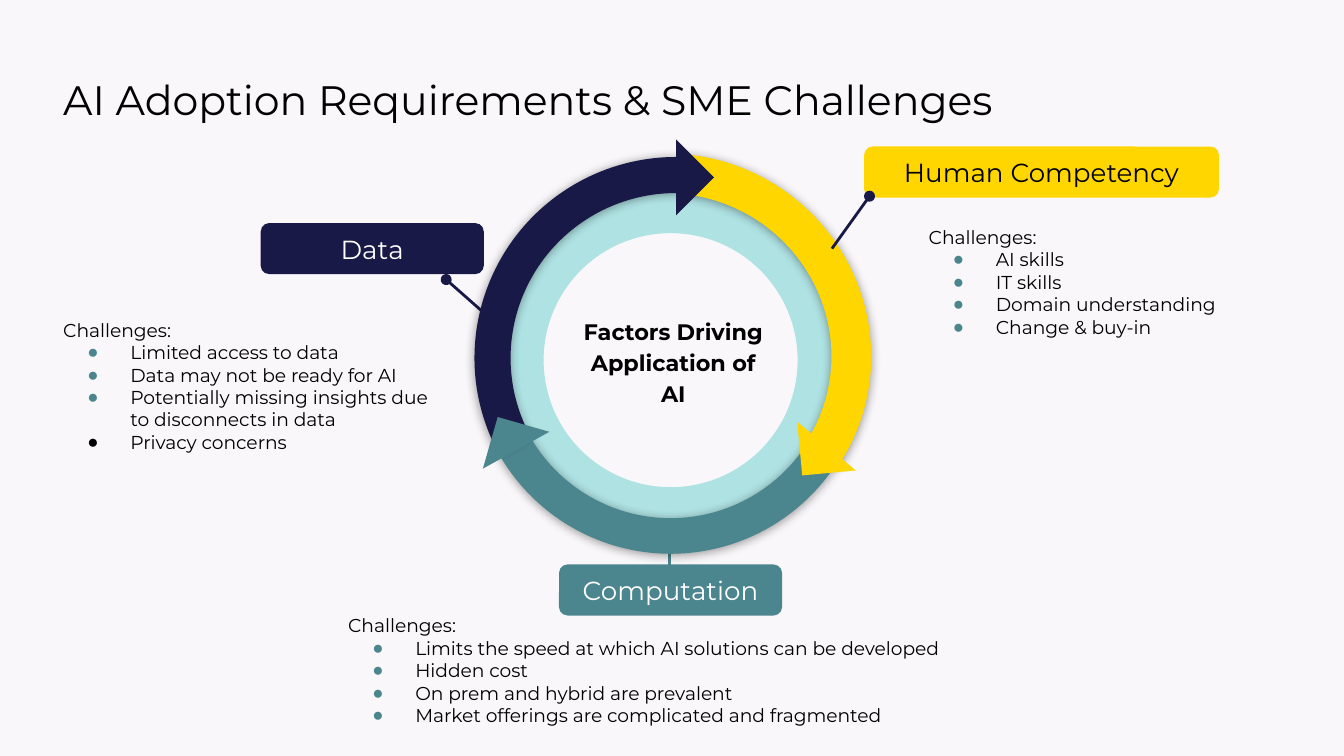
import lxml.etree
import pptx
import pptx.dml.color
import pptx.enum.shapes
import pptx.enum.text
import pptx.oxml.ns
import pptx.util

Inches = pptx.util.Inches
Pt = pptx.util.Pt
RGBColor = pptx.dml.color.RGBColor
MSO_SHAPE = pptx.enum.shapes.MSO_SHAPE
PP_ALIGN = pptx.enum.text.PP_ALIGN
MSO_ANCHOR = pptx.enum.text.MSO_ANCHOR
qn = pptx.oxml.ns.qn

FONT = "Montserrat"
BULLET_FONT = "Arial"
BACKGROUND = RGBColor(0xF9, 0xF7, 0xF9)
BLACK = RGBColor(0, 0, 0)
WHITE = RGBColor(0xFF, 0xFF, 0xFF)
NAVY = RGBColor(0x19, 0x19, 0x47)
YELLOW = RGBColor(0xFF, 0xD6, 0x00)
TEAL = RGBColor(0x4B, 0x85, 0x8E)
AQUA = RGBColor(0xAF, 0xE2, 0xE3)

COMPARISON_LAYOUT = 4

DATA_CHALLENGES = [
    "Limited access to data",
    "Data may not be ready for AI",
    "Potentially missing insights due to disconnects in data",
    "Privacy concerns",
]
HUMAN_CHALLENGES = ["AI skills", "IT skills", "Domain understanding", "Change & buy-in"]
COMPUTATION_CHALLENGES = [
    "Limits the speed at which AI solutions can be developed",
    "Hidden cost",
    "On prem and hybrid are prevalent",
    "Market offerings are complicated and fragmented",
]


def place(sp, box):
    sp.left, sp.top, sp.width, sp.height = [Inches(v) for v in box]


def set_frame(tf, anchor, inset_y):
    tf.word_wrap = True
    tf.auto_size = pptx.enum.text.MSO_AUTO_SIZE.NONE
    tf.vertical_anchor = anchor
    tf.margin_left = tf.margin_right = Inches(0.1)
    tf.margin_top = tf.margin_bottom = Inches(inset_y)


def format_runs(p, size, color=BLACK, bold=False):
    for r in p.runs:
        r.font.name = FONT
        r.font.size = Pt(size)
        r.font.bold = bold
        r.font.color.rgb = color


def set_bullet(p, color):
    """Give the paragraph a hanging round bullet, or none if color is None."""
    pPr = p._p.get_or_add_pPr()
    pPr.set("marL", str(Inches(0.5 if color else 0)))
    pPr.set("indent", str(Inches(-0.32 if color else 0)))
    if color is None:
        lxml.etree.SubElement(pPr, qn("a:buNone"))
        return
    buClr = lxml.etree.SubElement(pPr, qn("a:buClr"))
    lxml.etree.SubElement(buClr, qn("a:srgbClr"), val=str(color))
    lxml.etree.SubElement(pPr, qn("a:buFont"), typeface=BULLET_FONT)
    lxml.etree.SubElement(pPr, qn("a:buChar"), char="●")


def set_title(sp, text):
    place(sp, (0.37, 0.5, 8.75, 0.52))
    set_frame(sp.text_frame, MSO_ANCHOR.MIDDLE, 0.05)
    sp.text_frame.text = text
    p = sp.text_frame.paragraphs[0]
    p.alignment = PP_ALIGN.LEFT
    p.line_spacing = 0.9
    format_runs(p, 22)


def set_challenges(sp, box, items, last_bullet=TEAL):
    place(sp, box)
    tf = sp.text_frame
    set_frame(tf, MSO_ANCHOR.TOP, 0.1)
    tf.text = "\n".join(["Challenges:"] + items)
    bullets = [None] + [TEAL] * (len(items) - 1) + [last_bullet]
    for p, bullet in zip(tf.paragraphs, bullets):
        set_bullet(p, bullet)
        p.space_before = Pt(0)
        format_runs(p, 10)


def add_filled(slide, kind, box, color, rotation=0, adjustments=()):
    sp = slide.shapes.add_shape(kind, *[Inches(v) for v in box])
    sp.shadow.inherit = False
    sp.fill.solid()
    sp.fill.fore_color.rgb = color
    sp.line.fill.background()
    sp.rotation = rotation
    for i, value in enumerate(adjustments):
        sp.adjustments[i] = value
    return sp


def add_arc(slide, box, color, rotation, adjustments, flipped=False):
    """Add one ring segment with a soft shadow below it."""
    sp = add_filled(slide, MSO_SHAPE.BLOCK_ARC, box, color, rotation, adjustments)
    if flipped:
        sp._element.spPr.find(qn("a:xfrm")).set("flipH", "1")
    effects = sp._element.spPr.find(qn("a:effectLst"))
    shadow = lxml.etree.SubElement(
        effects, qn("a:outerShdw"), blurRad=str(Pt(5.6)), dist=str(Pt(0.8)),
        dir="5400000", algn="t", rotWithShape="0")
    clr = lxml.etree.SubElement(shadow, qn("a:srgbClr"), val=str(BLACK))
    lxml.etree.SubElement(clr, qn("a:alpha"), val="40000")


def add_label(slide, box, text, color, text_color=WHITE):
    sp = add_filled(slide, MSO_SHAPE.ROUNDED_RECTANGLE, box, color)
    set_frame(sp.text_frame, MSO_ANCHOR.MIDDLE, 0.05)
    sp.text_frame.text = text
    p = sp.text_frame.paragraphs[0]
    p.alignment = PP_ALIGN.CENTER
    format_runs(p, 14, text_color)


def add_leader(slide, start, end, color):
    """Add a line with a dot at its start."""
    line = slide.shapes.add_connector(
        pptx.enum.shapes.MSO_CONNECTOR.STRAIGHT,
        *[Inches(v) for v in start + end])
    line.line.color.rgb = color
    line.line.width = Pt(1.5)
    ln = line._element.spPr.find(qn("a:ln"))
    lxml.etree.SubElement(ln, qn("a:headEnd"), type="oval")
    lxml.etree.SubElement(line._element.spPr, qn("a:effectLst"))


def add_center_text(slide, box, text):
    sp = slide.shapes.add_textbox(*[Inches(v) for v in box])
    set_frame(sp.text_frame, MSO_ANCHOR.MIDDLE, 0.1)
    sp.text_frame.text = text
    p = sp.text_frame.paragraphs[0]
    p.alignment = PP_ALIGN.CENTER
    p.line_spacing = 1.15
    format_runs(p, 12, bold=True)


def add_cycle(slide):
    add_filled(slide, MSO_SHAPE.DONUT, (3.6, 1.29, 2.78, 2.78), AQUA,
               adjustments=[0.16])
    add_leader(slide, (3.32, 2.08), (3.75, 2.46), NAVY)
    add_leader(slide, (4.98, 4.37), (4.98, 3.87), TEAL)
    add_arc(slide, (3.52, 1.18, 2.94, 2.94), TEAL, 210, [143.16, 215.03, 0.09], True)
    add_center_text(slide, (4.22, 2.24, 1.58, 0.88), "Factors Driving Application of AI")
    add_arc(slide, (3.48, 1.15, 3.01, 2.96), YELLOW, 33.6, [144.14, 0.01, 0.1])
    add_arc(slide, (3.53, 1.17, 2.99, 2.98), NAVY, 330, [143.49, 214.73, 0.09], True)
    for left, top, rotation, color in [
        (4.83, 1.12, 225, NAVY),
        (5.95, 3.12, 354.7, YELLOW),
        (3.64, 3.15, 106, TEAL),
    ]:
        add_filled(slide, MSO_SHAPE.RIGHT_TRIANGLE, (left, top, 0.4, 0.4), color, rotation)


def main():
    prs = pptx.Presentation()
    prs.slide_width = Inches(10)
    prs.slide_height = prs.slide_width * 9 // 16
    slide = prs.slides.add_slide(prs.slide_layouts[COMPARISON_LAYOUT])
    slide.background.fill.solid()
    slide.background.fill.fore_color.rgb = BACKGROUND

    title, data, human, computation, unused = list(slide.placeholders)
    unused._element.getparent().remove(unused._element)
    set_title(title, "AI Adoption Requirements & SME Challenges")
    set_challenges(data, (0.37, 2.27, 2.95, 1.79), DATA_CHALLENGES, last_bullet=BLACK)
    set_challenges(human, (6.81, 1.58, 2.54, 1.15), HUMAN_CHALLENGES)
    set_challenges(computation, (2.49, 4.47, 6.07, 1.1), COMPUTATION_CHALLENGES)

    add_cycle(slide)
    add_label(slide, (1.94, 1.66, 1.66, 0.38), "Data", NAVY)
    add_label(slide, (4.16, 4.2, 1.66, 0.38), "Computation", TEAL)
    add_label(slide, (6.43, 1.09, 2.64, 0.38), "Human Competency", YELLOW, BLACK)
    add_leader(slide, (6.47, 1.46), (6.19, 1.85), NAVY)
    prs.save("out.pptx")


if __name__ == "__main__":
    main()
